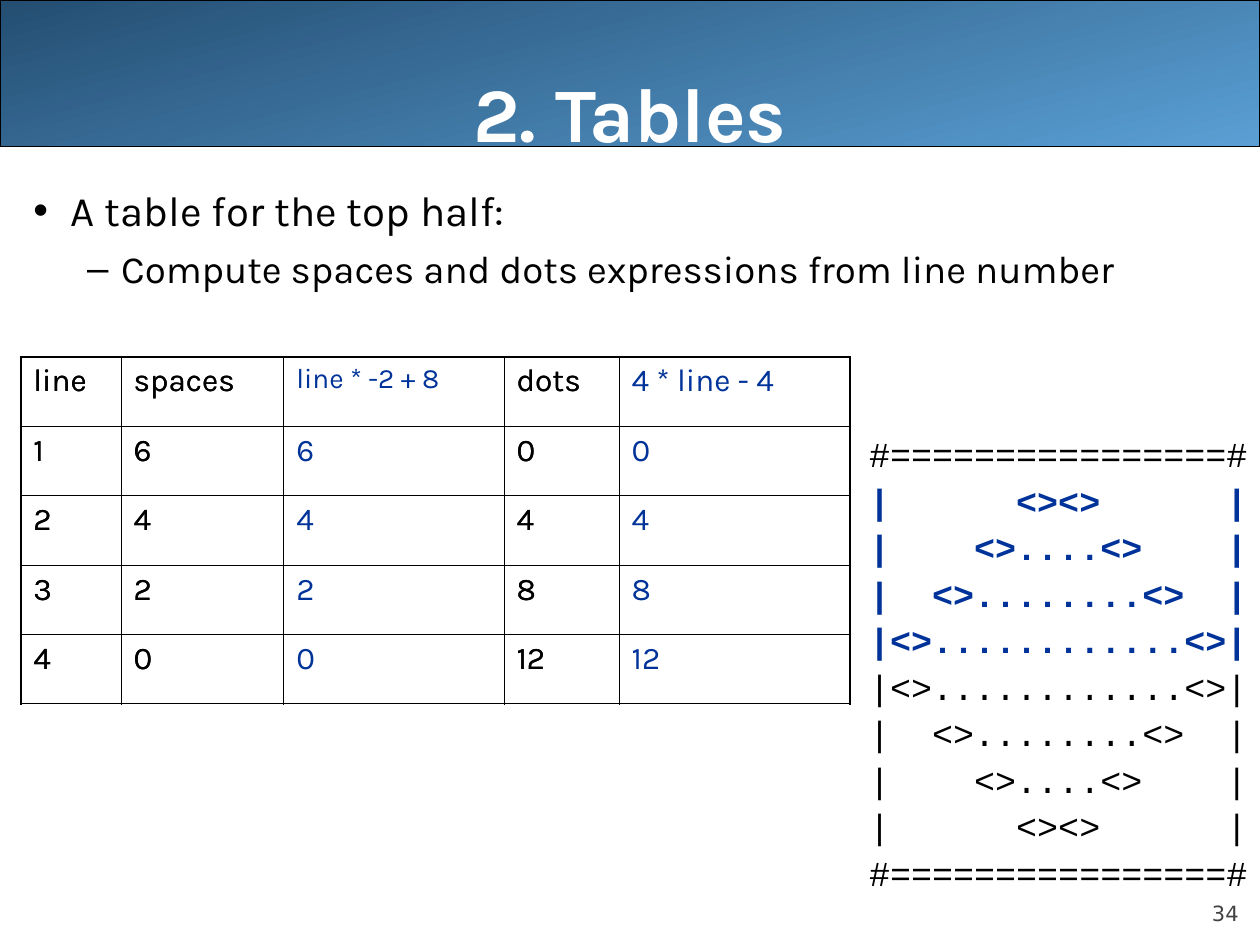
from lxml.etree import SubElement
from pptx import Presentation
from pptx.dml.color import RGBColor
from pptx.enum.shapes import MSO_SHAPE as Preset
from pptx.enum.text import MSO_ANCHOR as Anchor, MSO_AUTO_SIZE as AutoSize, PP_ALIGN as Align
from pptx.oxml.ns import qn
from pptx.util import Cm, Pt

COLORS = {"black": "000000", "white": "FFFFFF", "blue": "003399", "gray": "424242",
          "bar_dark": "244E72", "bar_light": "5A9FD4"}


def rgb(name):
    return RGBColor.from_string(COLORS[name])


class SlideBuilder:
    """Holds the style and the current slide."""
    body_font, code_font, number_font = "Karla", "Courier New", "DejaVu Sans"
    thin, thick = 0.45, 1.08

    def __init__(self, page):
        self.page = page

    def place(self, box, left, top, width, height):
        box.left, box.top, box.width, box.height = Cm(left), Cm(top), Cm(width), Cm(height)

    def span(self, para, text, size, color="black", font=None, bold=False):
        span = para.add_run()
        span.text = text
        span.font.name = font or self.body_font
        span.font.size = Pt(size)
        span.font.bold = bold
        span.font.color.rgb = rgb(color)

    def indent(self, para, left, first=0, bullet=None):
        properties = para._p.get_or_add_pPr()
        properties.set("marL", str(Cm(left)))
        properties.set("indent", str(Cm(first)))
        if bullet:
            SubElement(properties, qn("a:buChar")).set("char", bullet)

    def paragraphs(self, frame, count):
        return [frame.paragraphs[0]] + [frame.add_paragraph() for _ in range(count - 1)]

    def bar(self, height):
        bar = self.page.shapes.add_shape(Preset.RECTANGLE, 0, 0, Cm(25.4), Cm(height))
        bar.shadow.inherit = False
        bar.fill.gradient()
        bar.fill.gradient_angle = 285
        for stop, color in zip(bar.fill.gradient_stops, ("bar_dark", "bar_light")):
            stop.color.rgb = rgb(color)
        bar.line.color.rgb = rgb("black")
        bar.line.width = Pt(0.74)
        self.page.shapes._spTree.insert(2, bar._element)  # behind the title

    def title(self, text):
        box = self.page.shapes.title
        self.place(box, 1.27, 0, 22.86, 3.18)
        frame = box.text_frame
        frame.auto_size = AutoSize.NONE
        frame.vertical_anchor = Anchor.BOTTOM
        frame.margin_left = frame.margin_right = frame.margin_bottom = 0
        frame.margin_top = Cm(0.13)
        para = frame.paragraphs[0]
        para.alignment = Align.CENTER
        self.span(para, text, 44, "white", bold=True)

    def bullets(self, items):
        styles = [(24, 6, 0.75, -0.75, "•"), (22, 5.5, 1.77, -0.69, "–")]
        box = self.page.placeholders[1]
        self.place(box, 0.42, 3.6, 24.98, 14.4)
        box.text_frame.auto_size = AutoSize.NONE
        for para, (level, text) in zip(self.paragraphs(box.text_frame, len(items)), items):
            size, before, left, first, bullet = styles[level]
            para.level = level
            para.space_before = Pt(before)
            self.indent(para, left, first, bullet)
            self.span(para, text, size)

    def cell_borders(self, cell, widths):
        properties = cell._tc.get_or_add_tcPr()
        for index, (side, width) in enumerate(zip("LRTB", widths)):
            line = SubElement(properties, qn(f"a:ln{side}"), w=str(Pt(width)))
            color = SubElement(SubElement(line, qn("a:solidFill")), qn("a:srgbClr"))
            color.set("val", COLORS["black"])
            properties.insert(index, line)

    def table(self, left, top, widths, row_height, rows, blue_columns, show_blue):
        last_row, last_column = len(rows) - 1, len(widths) - 1
        table = self.page.shapes.add_table(
            len(rows), len(widths), Cm(left), Cm(top),
            Cm(sum(widths)), Cm(row_height * len(rows))).table
        table.first_row = table.horz_banding = False
        for column, width in zip(table.columns, widths):
            column.width = Cm(width)
        for r, row in enumerate(rows):
            table.rows[r].height = Cm(row_height)
            for c, value in enumerate(row):
                cell = table.cell(r, c)
                cell.fill.background()
                outer = (c == 0, c == last_column, r == 0, r == last_row)
                self.cell_borders(cell, [self.thick if edge else self.thin for edge in outer])
                blue = c in blue_columns
                if blue and not show_blue:
                    continue
                size = 16 if (r, c) == (0, 2) else 18  # longest heading is smaller
                para = cell.text_frame.paragraphs[0]
                para.space_before = Pt(size / 4)
                self.span(para, str(value), size, "blue" if blue else "black")

    def code(self, left, top, width, height, lines):
        box = self.page.shapes.add_textbox(Cm(left), Cm(top), Cm(width), Cm(height))
        frame = box.text_frame
        frame.word_wrap = False
        frame.auto_size = AutoSize.NONE
        frame.margin_right = 0  # room for the widest line
        for para, (text, marked) in zip(self.paragraphs(frame, len(lines)), lines):
            para.level = 1
            para.alignment = Align.LEFT
            para.line_spacing = 0.9
            para.space_before = Pt(5)
            self.indent(para, 0.33)
            self.span(para, text, 20, "blue" if marked else "black", self.code_font, marked)

    def page_number(self, text):
        box = self.page.shapes.add_textbox(Cm(22.86), Cm(17.65), Cm(2.11), Cm(1.02))
        frame = box.text_frame
        frame.word_wrap = True
        frame.vertical_anchor = Anchor.BOTTOM
        frame.margin_left = frame.margin_right = frame.margin_top = frame.margin_bottom = 0
        para = frame.paragraphs[0]
        para.alignment = Align.RIGHT
        para.space_before = Pt(5)
        self.span(para, text, 12, "gray", self.number_font)


deck = Presentation()
deck.slide_width, deck.slide_height = Cm(25.4), Cm(19.05)
slide = SlideBuilder(deck.slides.add_slide(deck.slide_layouts[1]))

# Heading and bullets
slide.bar(2.96)
slide.title("2. Tables")
slide.bullets([(0, "A table for the top half:"),
               (1, "Compute spaces and dots expressions from line number")])

# Spaces and dots for each line of the top half
counts = [(line, line * -2 + 8, 4 * line - 4) for line in range(1, 5)]
rows = [("line", "spaces", "line * -2 + 8", "dots", "4 * line - 4")]
rows += [(line, spaces, spaces, dots, dots) for line, spaces, dots in counts]

# Two stacked steps: the counts alone, then with the expressions
for show_blue in (False, True):
    slide.table(0.42, 7.19, (2.02, 3.28, 4.44, 2.32, 4.65), 1.4, rows, (2, 4), show_blue)

# Mirror figure: top half marked, bottom half reversed
edge = ("#" + "=" * 16 + "#", False)
half = ["|" + " " * spaces + "<>" + "." * dots + "<>" + " " * spaces + "|"
        for _, spaces, dots in counts]
figure = [edge, *((text, True) for text in half),
          *((text, False) for text in reversed(half)), edge]
slide.code(16.94, 8.69, 8.46, 9.47, figure)

# Page number
slide.page_number("34")

deck.save("out.pptx")
